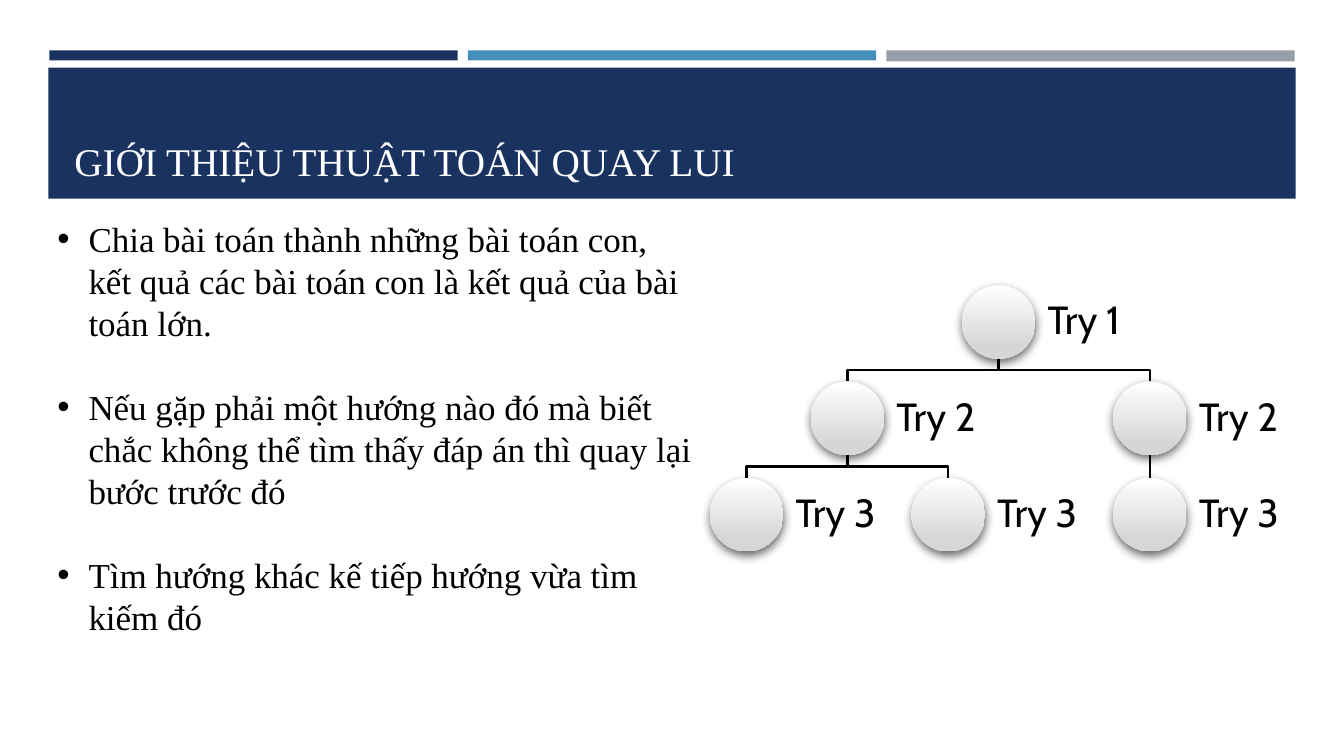
import pptx
import pptx.dml.color
import pptx.enum.dml
import pptx.enum.shapes
import pptx.enum.text
import pptx.oxml
import pptx.oxml.ns
import pptx.util

COLORS = {"navy": "1A3260", "blue": "4590B8", "gray": "969FA7", "white": "FFFFFF",
          "silver": "D6D6D6", "black": "000000"}
TITLE = "GIỚI THIỆU THUẬT TOÁN QUAY LUI"
BULLETS = [
    "Chia bài toán thành những bài toán con, kết quả các bài toán con là kết quả của bài toán lớn.",
    "Nếu gặp phải một hướng nào đó mà biết chắc không thể tìm thấy đáp án thì quay lại bước trước đó",
    "Tìm hướng khác kế tiếp hướng vừa tìm kiếm đó",
]
BANDS = [
    ("navy", 0.49, 0.5, 4.05, 0.1),
    ("blue", 4.64, 0.5, 4.05, 0.1),
    ("gray", 8.79, 0.5, 4.05, 0.11),
    ("navy", 0.48, 0.67, 12.37, 1.3),
]
NODES = {
    "root": ("Try 1", 2.5, 0),
    "left": ("Try 2", 1, 1),
    "right": ("Try 2", 4, 1),
    "left_a": ("Try 3", 0, 2),
    "left_b": ("Try 3", 2, 2),
    "right_a": ("Try 3", 4, 2),
}
BRANCHES = [("root", "left"), ("root", "right"), ("left", "left_a"),
            ("left", "left_b"), ("right", "right_a")]
TREE_X, TREE_Y, STEP_X, STEP_Y = 7.04, 2.83, 1, 0.955
DIAMETER, LABEL_W = 0.73, 1.09
BODY_FONT = {"name": "Times New Roman", "size": pptx.util.Pt(25)}
TITLE_FONT = {"name": "Times New Roman", "size": pptx.util.Pt(28)}
LABEL_FONT = {"name": "Cabin", "size": pptx.util.Pt(28)}
LABEL_INSETS = {f"margin_{side}": pptx.util.Inches(0.12)
                for side in ("left", "top", "right", "bottom")}
SHADOW = ('<a:outerShdw {} blurRad="88900" dist="38100" dir="5040000" rotWithShape="0">'
          '<a:srgbClr val="{}"><a:alpha val="60000"/></a:srgbClr></a:outerShdw>')

Inches = pptx.util.Inches
SHAPES = pptx.enum.shapes.MSO_SHAPE
ANCHORS = pptx.enum.text.MSO_ANCHOR


def rgb(name):
    """Return the named colour."""
    return pptx.dml.color.RGBColor.from_string(COLORS[name])


def apply(obj, values):
    """Set each named attribute."""
    for name, value in values.items():
        setattr(obj, name, value)


def add_shape(s, kind, box):
    """Add a preset shape without line or shadow."""
    sp = s.shapes.add_shape(kind, *map(Inches, box))
    sp.shadow.inherit = False
    sp.line.fill.background()
    return sp


def add_text(s, box, lines, font, color, frame):
    """Add a text box with one paragraph per line."""
    tf = s.shapes.add_textbox(*map(Inches, box)).text_frame
    apply(tf, {"word_wrap": True, **frame})
    for i, line in enumerate(lines):
        p = tf.add_paragraph() if i else tf.paragraphs[0]
        r = p.add_run()
        r.text = line
        apply(r.font, font)
        r.font.color.rgb = rgb(color)
    return tf


def add_bullets(s):
    """Add the bulleted explanation."""
    tf = add_text(s, (0.47, 2.11, 6.53, 4.31), BULLETS, BODY_FONT, "black", {})
    for p in tf.paragraphs:
        pPr = p._p.get_or_add_pPr()
        pPr.set("marL", str(Inches(0.31)))
        pPr.set("indent", str(Inches(-0.31)))
        p.line_spacing = pptx.util.Pt(30)
        if p is not tf.paragraphs[-1]:
            p.space_after = pptx.util.Pt(30)
        ns = pptx.oxml.ns.nsdecls("a")
        for xml in (f'<a:buFont {ns} typeface="Arial"/>', f'<a:buChar {ns} char="•"/>'):
            pPr.append(pptx.oxml.parse_xml(xml))
    tf.paragraphs[len(BULLETS) - 1].space_after = pptx.util.Pt(0)


def node_corner(key):
    """Return the top left corner of a node's circle."""
    _, col, row = NODES[key]
    return TREE_X + col * STEP_X, TREE_Y + row * STEP_Y


def add_branch(s, parent, child):
    """Draw the line from a parent down to its child."""
    (x1, y1), (x2, y2) = node_corner(parent), node_corner(child)
    x1, x2, y1 = x1 + DIAMETER / 2, x2 + DIAMETER / 2, y1 + DIAMETER
    if x1 == x2:
        sp = s.shapes.add_connector(pptx.enum.shapes.MSO_CONNECTOR.STRAIGHT,
                                    *map(Inches, (x1, y1, x2, y2)))
        sp._element.spPr.append(pptx.oxml.parse_xml(
            f'<a:effectLst {pptx.oxml.ns.nsdecls("a")}/>'))
    else:
        mid = (y1 + y2) / 2
        points = [(Inches(x), Inches(y)) for x, y in ((x1, mid), (x2, mid), (x2, y2))]
        builder = s.shapes.build_freeform(Inches(x1), Inches(y1))
        builder.add_line_segments(points, close=False)
        sp = builder.convert_to_shape()
        sp.shadow.inherit = False
        sp.fill.background()
    sp.line.color.rgb = rgb("black")
    sp.line.width = pptx.util.Pt(1.75)


def add_node(s, key):
    """Draw a shaded circle and its label."""
    x, y = node_corner(key)
    sp = add_shape(s, SHAPES.OVAL, (x, y, DIAMETER, DIAMETER))
    sp.fill.gradient()
    sp.fill.gradient_angle = 270
    for stop, position, color in zip(sp.fill.gradient_stops, (0, 0.84), ("white", "silver")):
        stop.position = position
        stop.color.rgb = rgb(color)
    effects = sp._element.spPr.find(pptx.oxml.ns.qn("a:effectLst"))
    effects.append(pptx.oxml.parse_xml(
        SHADOW.format(pptx.oxml.ns.nsdecls("a"), COLORS["black"])))
    tf = add_text(s, (x + DIAMETER, y, LABEL_W, DIAMETER), [NODES[key][0]], LABEL_FONT,
                  "black", {"vertical_anchor": ANCHORS.MIDDLE, **LABEL_INSETS})
    tf.paragraphs[0].line_spacing = 0.9


def main():
    """Build the backtracking slide."""
    prs = pptx.Presentation()
    prs.slide_width, prs.slide_height = Inches(13.33), Inches(7.5)
    s = prs.slides.add_slide(prs.slide_layouts[6])
    for color, *box in BANDS:
        sp = add_shape(s, SHAPES.RECTANGLE, box)
        sp.fill.solid()
        sp.fill.fore_color.rgb = rgb(color)
    add_text(s, (0.64, 0.77, 12.06, 1.11), [TITLE], TITLE_FONT, "white",
             {"vertical_anchor": ANCHORS.BOTTOM})
    add_bullets(s)
    for parent, child in BRANCHES:
        add_branch(s, parent, child)
    for key in NODES:
        add_node(s, key)
    prs.save("out.pptx")


if __name__ == "__main__":
    main()
